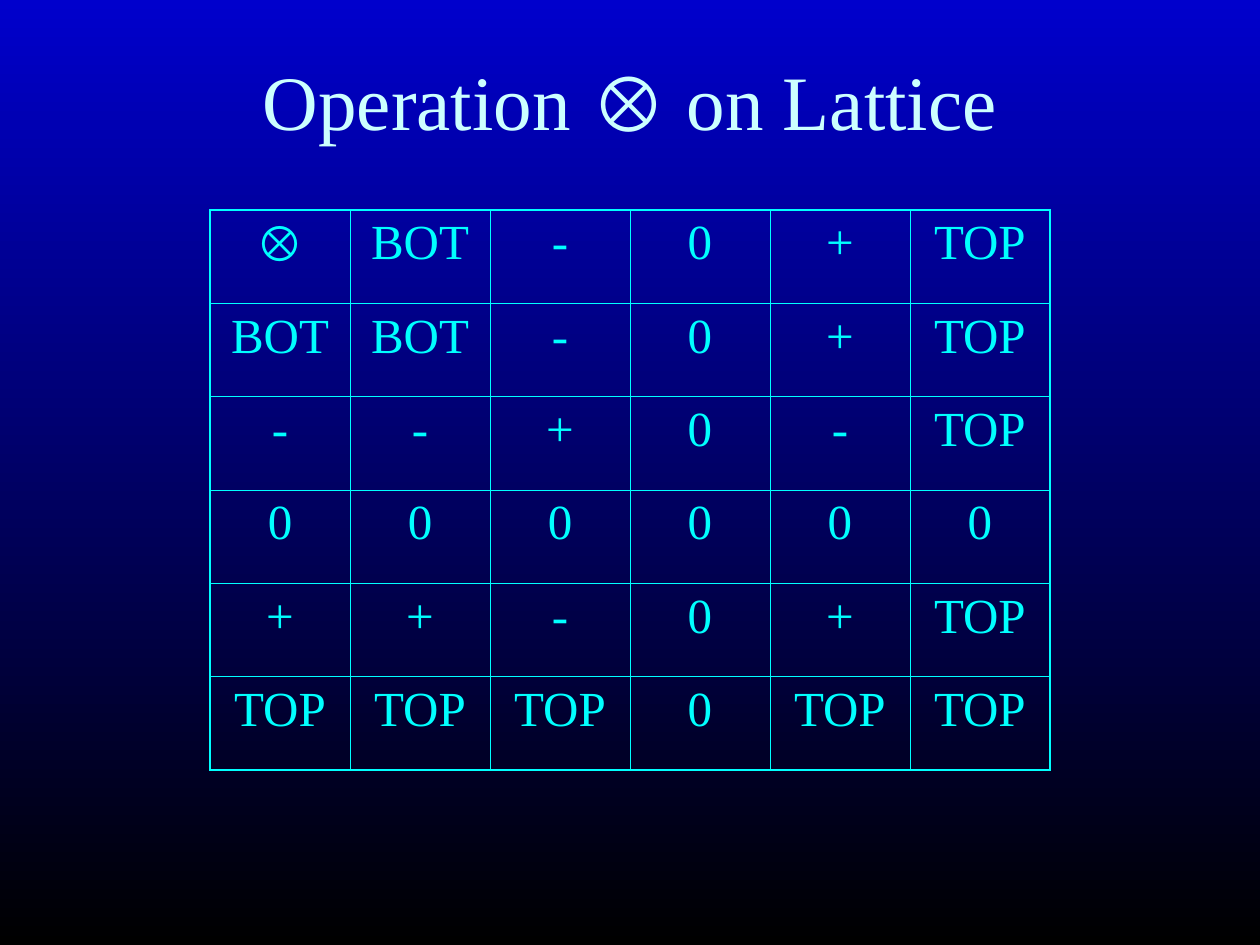
from lxml import etree
from pptx import Presentation
from pptx.dml.color import RGBColor
from pptx.enum.text import MSO_ANCHOR, PP_ALIGN
from pptx.oxml.ns import qn
from pptx.util import Pt

CENTER = PP_ALIGN.CENTER
TOP, MIDDLE = MSO_ANCHOR.TOP, MSO_ANCHOR.MIDDLE
SERIF, SYMBOL = "Times New Roman", "Arial"
CYAN, PALE_CYAN = "00FFFF", "CCFFFF"
OUTER_WIDTH, INNER_WIDTH = 1.08, 0.45
COLUMN_WIDTH, ROW_HEIGHT = 80, 53.33


def color(value):
    return RGBColor.from_string(value)


def add_run(paragraph, text, size, text_color):
    run = paragraph.add_run()
    run.text = text
    font_format = {
        "name": SYMBOL if text == "⊗" else SERIF,
        "size": Pt(size),
        "bold": False,
    }
    for name, value in font_format.items():
        setattr(run.font, name, value)
    run.font.color.rgb = color(text_color)


presentation = Presentation()
presentation.slide_width, presentation.slide_height = Pt(720), Pt(540)
slide = presentation.slides.add_slide(presentation.slide_layouts[5])

# Background: blue at the top fading to black
background = slide.background.fill
background.gradient()
background.gradient_angle = 270
for stop, stop_color in zip(background.gradient_stops, ("0000CC", "000000")):
    stop.color.rgb = color(stop_color)

# Title
title = slide.shapes.title
title_place = {"left": 30, "top": 12, "width": 660, "height": 90}
for name, value in title_place.items():
    setattr(title, name, Pt(value))
title.text_frame.vertical_anchor = MIDDLE
paragraph = title.text_frame.paragraphs[0]
paragraph.alignment = CENTER
for text in ("Operation ", "⊗", " on Lattice"):
    add_run(paragraph, text, 44, PALE_CYAN)

# Operation table
signs = [
    ["⊗", "BOT", "-", "0", "+", "TOP"],
    ["BOT", "BOT", "-", "0", "+", "TOP"],
    ["-", "-", "+", "0", "-", "TOP"],
    ["0", "0", "0", "0", "0", "0"],
    ["+", "+", "-", "0", "+", "TOP"],
    ["TOP", "TOP", "TOP", "0", "TOP", "TOP"],
]
count = len(signs)
table = slide.shapes.add_table(
    count, count, Pt(120), Pt(120), Pt(count * COLUMN_WIDTH), Pt(count * ROW_HEIGHT)
).table
table.first_row = table.horz_banding = False
for column in table.columns:
    column.width = Pt(COLUMN_WIDTH)
for row in table.rows:
    row.height = Pt(ROW_HEIGHT)

cell_format = {
    "margin_left": Pt(7.2),
    "margin_right": Pt(7.2),
    "margin_top": Pt(3.6),
    "margin_bottom": Pt(3.6),
    "vertical_anchor": TOP,
}
for row_index, row_signs in enumerate(signs):
    for column_index, sign in enumerate(row_signs):
        cell = table.cell(row_index, column_index)
        for name, value in cell_format.items():
            setattr(cell, name, value)
        paragraph = cell.text_frame.paragraphs[0]
        paragraph.alignment = CENTER
        paragraph.space_before = Pt(7)
        add_run(paragraph, sign, 28, CYAN)

        # Borders, heavier around the outside of the table
        properties = cell._tc.get_or_add_tcPr()
        outer_edges = {
            "a:lnL": column_index == 0,
            "a:lnR": column_index == count - 1,
            "a:lnT": row_index == 0,
            "a:lnB": row_index == count - 1,
        }
        for tag, is_outer in outer_edges.items():
            width = Pt(OUTER_WIDTH if is_outer else INNER_WIDTH)
            line = etree.SubElement(properties, qn(tag), w=str(width))
            fill = etree.SubElement(line, qn("a:solidFill"))
            etree.SubElement(fill, qn("a:srgbClr"), val=CYAN)
        cell.fill.background()

presentation.save("out.pptx")
